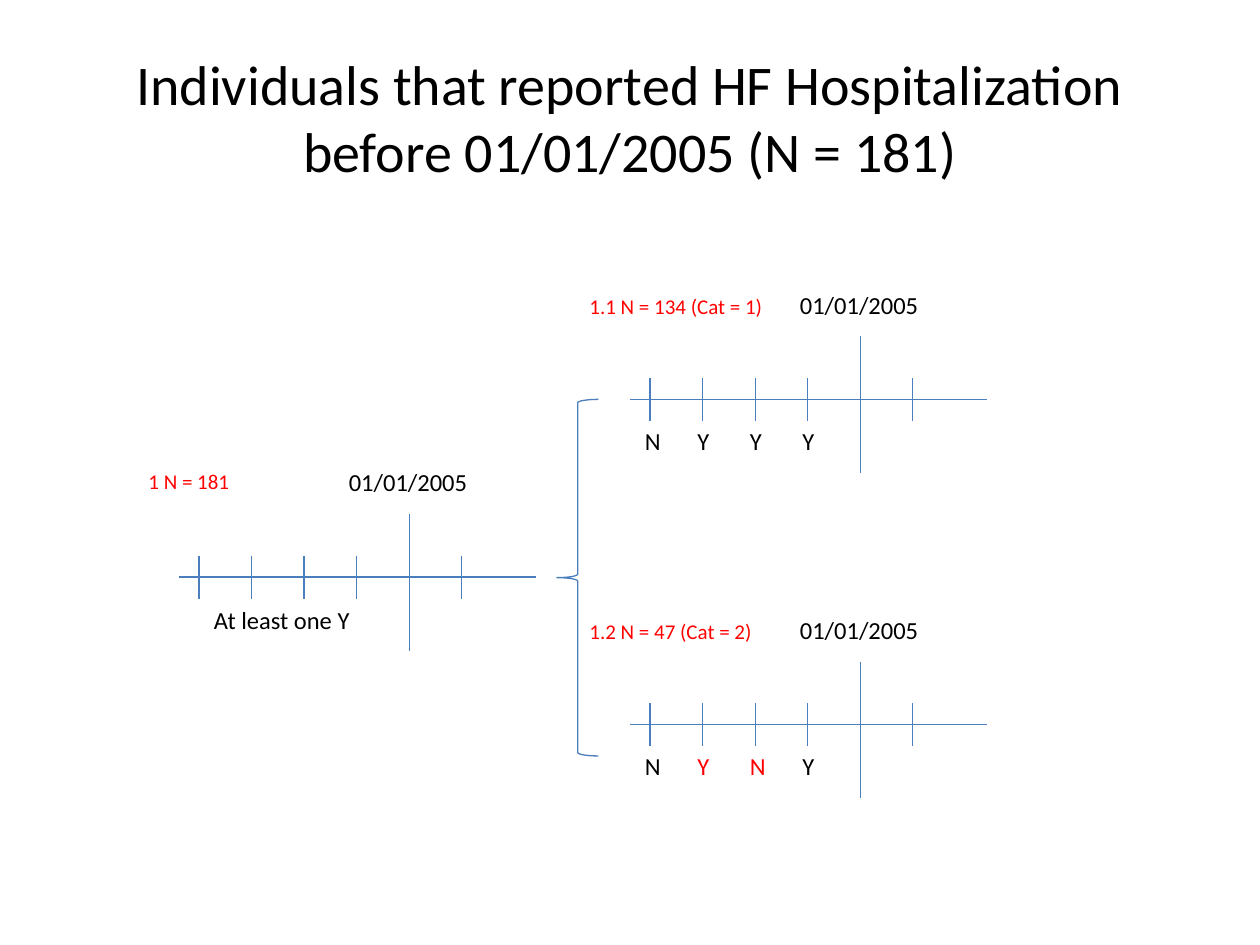
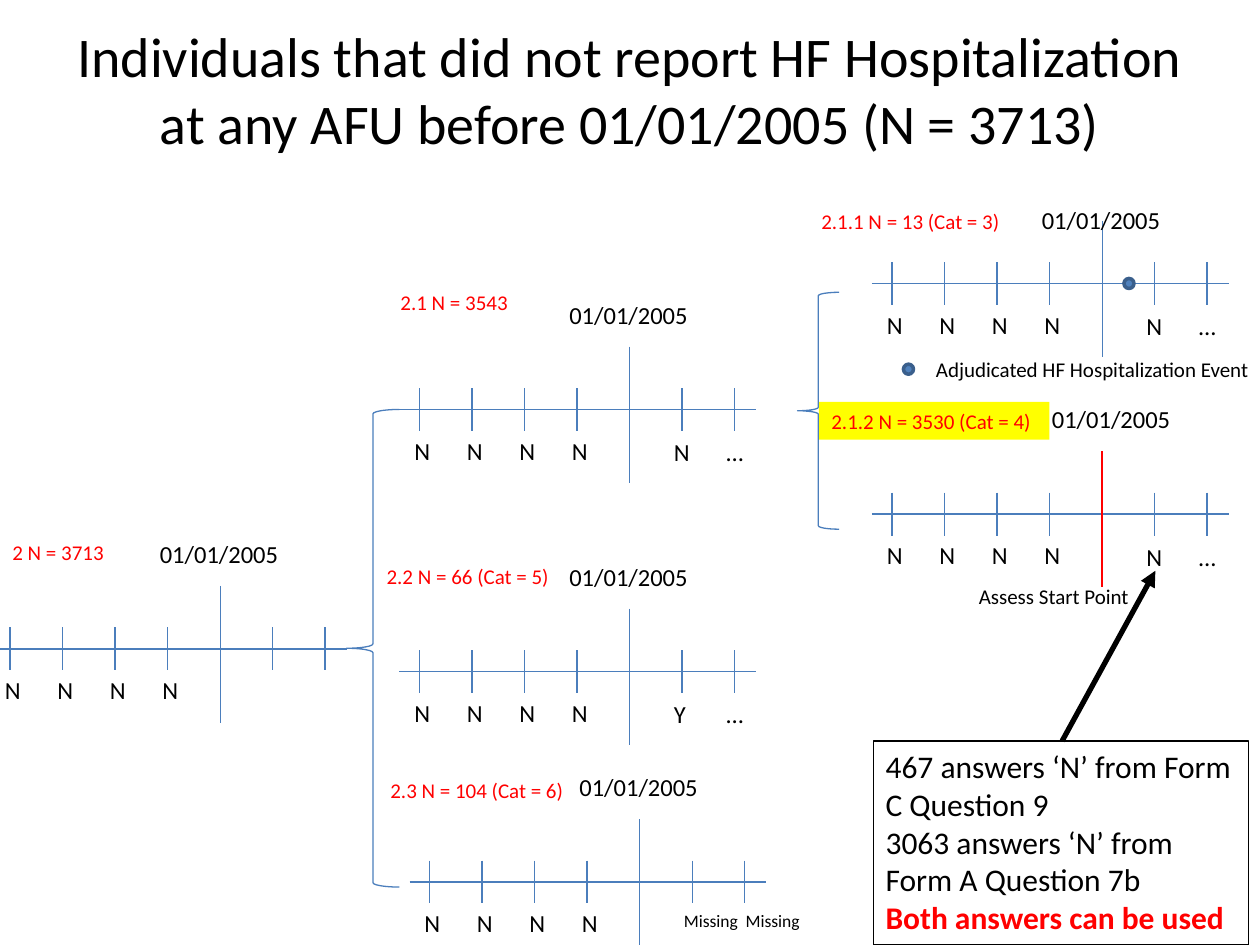
from pptx import Presentation
from pptx.dml.color import RGBColor
from pptx.enum.dml import MSO_LINE
from pptx.enum.shapes import MSO_CONNECTOR, MSO_SHAPE
from pptx.enum.text import MSO_ANCHOR, PP_ALIGN
from pptx.oxml.ns import qn
from pptx.util import Inches, Pt
from lxml import etree

STRAIGHT, DOTTED = MSO_CONNECTOR.STRAIGHT, MSO_LINE.ROUND_DOT
BRACE, DOT, RECT = MSO_SHAPE.LEFT_BRACE, MSO_SHAPE.FLOWCHART_CONNECTOR, MSO_SHAPE.RECTANGLE
LEFT, CENTER = PP_ALIGN.LEFT, PP_ALIGN.CENTER
TOP, MIDDLE = MSO_ANCHOR.TOP, MSO_ANCHOR.MIDDLE

FONT = "Calibri"
BLUE, FILL_BLUE, DARK_BLUE = "4B7EBC", "4F81BD", "3A5F8C"
BLACK, RED, YELLOW = "000000", "FF0000", "FFFF00"

# Timeline geometry: visits are STEP apart, the cut-off date takes slot 4
W, H = 10, 7.5
STEP = 5 / 12
AXIS_LENGTH, FIRST_VISIT, HALF_TICK = 2.83, 0.16, 0.17
CUTOFF_SLOT, CUTOFF_DATE = 4, "01/01/2005"
FOUR_NO = "N N N N".split()

# Content. Timeline: axis (x, y), label (text, x, y, width), answers before
# the cut-off; optional: answers after it, last slot, red answers, date offset
SLIDES = [
    dict(
        title="Individuals that reported HF Hospitalization before 01/01/2005 (N = 181)",
        title_top=0.3,
        timelines=[
            dict(axis=(1.42, 4.58), label=("1 N = 181", 1.08, 3.67, 1)),
            dict(axis=(5, 3.17), label=("1.1 N = 134 (Cat = 1)", 4.58, 2.28, 2),
                 before="N Y Y Y".split()),
            dict(axis=(5, 5.75), label=("1.2 N = 47 (Cat = 2)", 4.58, 4.86, 2),
                 before="N Y N Y".split(), red=(1, 2)),
        ],
        braces=[(4.42, 3.17, 0.33, 2.83)],
        captions=[("At least one Y", 1.6, 4.75, 1.4, 14)],
    ),
    dict(
        title="Individuals that did not report HF Hospitalization at any AFU "
              "before 01/01/2005 (N = 3713)",
        title_top=0.08,
        timelines=[
            dict(axis=(-0.08, 5.15), label=("2 N = 3713", 0, 4.23, 1),
                 before=FOUR_NO, last=6),
            dict(axis=(3.17, 5.33), label=("2.2 N = 66 (Cat = 5)", 2.97, 4.42, 1.6),
                 before=FOUR_NO, after=["Y", "…"], last=6),
            dict(axis=(3.25, 7), label=("2.3 N = 104 (Cat = 6)", 3, 6.12, 1.67),
                 before=FOUR_NO, after=["Missing", "Missing"], last=6),
            dict(axis=(3.17, 3.25), label=("2.1 N = 3543", 3.08, 2.25, 1.1),
                 before=FOUR_NO, after=["N", "…"], last=6),
            dict(axis=(6.92, 2.25), label=("2.1.1 N = 13 (Cat = 3)", 6.42, 1.61, 2.17),
                 before=FOUR_NO, after=["N", "…"], last=6, date=(1.25, -0.67)),
            dict(axis=(6.92, 4.08), label=("2.1.2 N = 3530 (Cat = 4)", 6.5, 3.19, 1.83),
                 before=FOUR_NO, after=["N", "…"], last=6, date=(1.33, -0.92),
                 start_point=True),
        ],
        braces=[(2.75, 3.25, 0.42, 3.79), (6.33, 2.32, 0.33, 1.88)],
        captions=[("Adjudicated HF Hospitalization Event", 7.33, 2.78, 2.75, 12),
                  ("Assess Start Point", 7.67, 4.58, 1.42, 12)],
        events=[(8.92, 2.21), (7.17, 2.89)],
        note=[("467 answers ‘N’ from Form C Question 9", BLACK),
              ("3063 answers ‘N’ from Form A Question 7b", BLACK),
              ("Both answers can be used", RED)],
    ),
]
NOTE_BOX = (6.93, 5.88, 2.98, 1.62)
NOTE_ARROW = (8.43, 5.88, 9.17, 4.53)


def rgb(value):
    return RGBColor.from_string(value)


def inches(*lengths):
    return [Inches(n) for n in lengths]


def style(p, size, color=BLACK, align=LEFT, bold=False):
    p.alignment = align
    f = p.font
    f.name, f.size, f.bold, f.color.rgb = FONT, Pt(size), bold, rgb(color)


def add_text(s, text, x, y, w, size, color=BLACK):
    sp = s.shapes.add_textbox(*inches(x, y, w, 0.34 if size > 12 else 0.3))
    tf = sp.text_frame
    tf.word_wrap = True
    p = tf.paragraphs[0]
    p.text = text
    style(p, size, color)
    return sp


def add_answers(s, answers, x, y, w, size=14, red=()):
    """One row of answers, set under the visits with tab stops."""
    p = add_text(s, "", x, y, w, size).text_frame.paragraphs[0]
    for i, answer in enumerate(answers):
        r = p.add_run()
        r.text = "\t" + answer if i else answer
        if i in red:
            r.font.color.rgb = rgb(RED)
    tabs = etree.Element(qn("a:tabLst"))
    for i in range(1, len(answers)):
        etree.SubElement(tabs, qn("a:tab"), pos=str(int(Inches(i * STEP))), algn="l")
    p._p.get_or_add_pPr().insert(0, tabs)


def add_line(s, x1, y1, x2, y2, color=BLUE, width=0.75, dash=None, arrow=False):
    c = s.shapes.add_connector(STRAIGHT, *inches(x1, y1, x2, y2))
    c.line.color.rgb, c.line.width = rgb(color), Pt(width)
    if dash:
        c.line.dash_style = dash
    if arrow:
        etree.SubElement(c.line._get_or_add_ln(), qn("a:tailEnd"), type="triangle")
    etree.SubElement(c._element.spPr, qn("a:effectLst"))


def add_shape(s, kind, box, fill=None, line=None, width=0.75):
    sp = s.shapes.add_shape(kind, *inches(*box))
    sp.shadow.inherit = False
    if fill:
        sp.fill.solid()
        sp.fill.fore_color.rgb = rgb(fill)
    else:
        sp.fill.background()
    if line:
        sp.line.color.rgb, sp.line.width = rgb(line), Pt(width)
    else:
        sp.line.fill.background()
    return sp


def add_timeline(s, axis, label, before=(), after=(), last=5, red=(),
                 date=(1.25, -0.92), start_point=False):
    x, y = axis
    add_line(s, max(x, 0), y, x + AXIS_LENGTH, y)
    for slot in range(last + 1):
        visit = x + FIRST_VISIT + slot * STEP
        if slot != CUTOFF_SLOT:
            add_line(s, visit, y - HALF_TICK, visit, y + HALF_TICK)
        else:
            look = (RED, 1.5) if start_point else (BLUE, 0.25, DOTTED)
            add_line(s, visit, y - 0.5, visit, min(y + 0.58, H), *look)

    # Answers, cut-off date and group label
    if before:
        add_answers(s, before, x + 0.02, y + 0.16, 2.33, red=red)
    if after:
        missing = "Missing" in after
        if missing:
            add_missing(s, after, x + 2.08, y + 0.17)
        else:
            add_answers(s, after, x + 2.08, y + 0.17, 0.83)
    add_text(s, CUTOFF_DATE, x + date[0], y + date[1], 1.17, 14)
    text, lx, ly, lw = label
    if start_point:
        add_shape(s, RECT, (lx, ly, lw, 0.3), YELLOW)
    add_text(s, text, lx, ly, lw, 12, RED)


def add_missing(s, words, x, y):
    for i, word in enumerate(words):
        add_text(s, word, x + i * 0.49, y, 0.7, 10)


def add_note(s, lines):
    tf = add_shape(s, RECT, NOTE_BOX, line=BLACK).text_frame
    tf.word_wrap, tf.vertical_anchor = True, TOP
    for i, (text, color) in enumerate(lines):
        p = tf.add_paragraph() if i else tf.paragraphs[0]
        p.text = text
        style(p, 18, color, bold=color == RED)
    add_line(s, *NOTE_ARROW, BLACK, 3, arrow=True)


def add_title(s, text, top):
    sp = s.shapes.title
    sp.left, sp.top, sp.width, sp.height = inches(0.5, top, W - 1, 1.25)
    sp.text_frame.text = text
    sp.text_frame.vertical_anchor = MIDDLE
    style(sp.text_frame.paragraphs[0], 32, align=CENTER)


def main():
    prs = Presentation()
    prs.slide_width, prs.slide_height = inches(W, H)
    for content in SLIDES:
        s = prs.slides.add_slide(prs.slide_layouts[5])
        add_title(s, content["title"], content["title_top"])
        for timeline in content["timelines"]:
            add_timeline(s, **timeline)
        for box in content["braces"]:
            add_shape(s, BRACE, box, line=BLUE)
        for x, y in content.get("events", []):
            add_shape(s, DOT, (x, y, 0.08, 0.08), FILL_BLUE, DARK_BLUE, 2)
        for caption in content["captions"]:
            add_text(s, *caption)
        if "note" in content:
            add_note(s, content["note"])
    prs.save("out.pptx")


if __name__ == "__main__":
    main()
